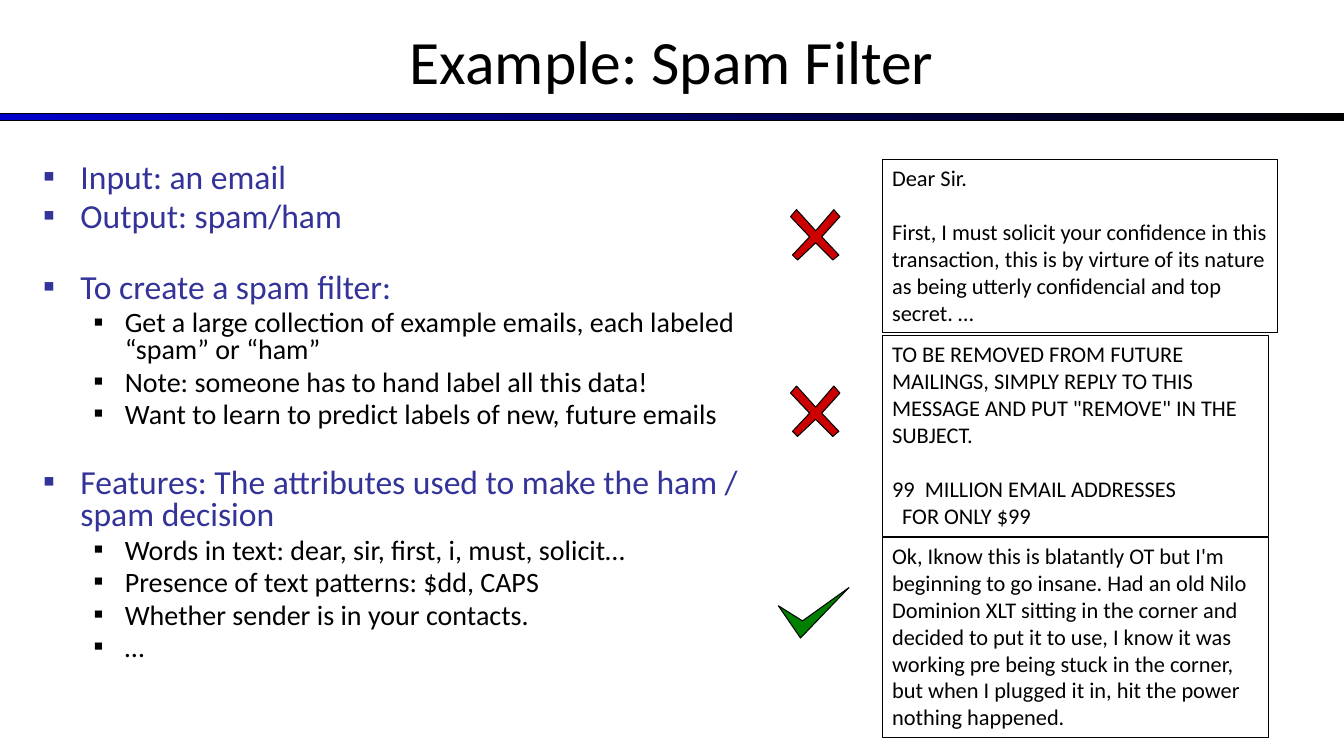
from lxml import etree
from pptx import Presentation
from pptx.dml.color import RGBColor
from pptx.enum.shapes import MSO_SHAPE
from pptx.enum.text import MSO_ANCHOR, PP_ALIGN
from pptx.oxml.ns import qn
from pptx.util import Inches, Pt

RECT = MSO_SHAPE.RECTANGLE
TOP, MIDDLE = MSO_ANCHOR.TOP, MSO_ANCHOR.MIDDLE
LEFT, CENTER = PP_ALIGN.LEFT, PP_ALIGN.CENTER

FONT = "Calibri"
COLORS = {"black": "000000", "blue": "0000CC", "indigo": "333399",
          "red": "CC0000", "green": "008000"}

# Content
TITLE = "Example: Spam Filter"
# (level, text, space before in points)
OUTLINE = [
    (0, "Input: an email", 0),
    (0, "Output: spam/ham", 4.5),
    (0, "To create a spam filter:", 27.5),
    (1, "Get a large collection of example emails, each labeled “spam” or “ham”", 4),
    (1, "Note: someone has to hand label all this data!", 4),
    (1, "Want to learn to predict labels of new, future emails", 4),
    (0, "Features: The attributes used to make the ham / spam decision", 27.5),
    (1, "Words in text: dear, sir, first, i, must, solicit…", 4),
    (1, "Presence of text patterns: $dd, CAPS", 4),
    (1, "Whether sender is in your contacts.", 4),
    (1, "…", 4),
]
# level: (size, color, margin, hanging indent)
LEVELS = {0: (24, "indigo", 0.37, 0.37), 1: (20, "black", 0.81, 0.31)}

# (top, width, height, [(text, space before in points, indent in inches)])
EMAILS = [
    (1.58, 3.92, 1.72, [
        ("Dear Sir.", 0, 0),
        ("First, I must solicit your confidence in this transaction, this is by "
         "virture of its nature as being utterly confidencial and top secret. …", 19.5, 0)]),
    (3.33, 3.83, 1.99, [
        ("TO BE REMOVED FROM FUTURE MAILINGS, SIMPLY REPLY TO THIS MESSAGE AND "
         "PUT \"REMOVE\" IN THE SUBJECT.", 0, 0),
        ("99  MILLION EMAIL ADDRESSES", 19.5, 0),
        ("FOR ONLY $99", 0, 0.1)]),
    (5.33, 3.83, 1.99, [
        ("Ok, Iknow this is blatantly OT but I'm beginning to go insane. Had an old "
         "Nilo Dominion XLT sitting in the corner and decided to put it to use, I know "
         "it was working pre being stuck in the corner, but when I plugged it in, hit "
         "the power nothing happened.", 0, 0)]),
]

# Mark outlines, as offsets from the top left of each mark
CROSS = [(0, 0.07), (0.19, 0.27), (0.02, 0.45), (0.07, 0.5), (0.25, 0.33), (0.42, 0.5),
         (0.48, 0.45), (0.31, 0.27), (0.49, 0.07), (0.43, 0), (0.25, 0.21), (0.06, 0)]
CHECK = [(0.22, 0.5), (0.7, 0), (0.24, 0.33), (0, 0.18)]
MARKS = [(7.84, 2.08, CROSS, "red"), (7.84, 3.83, CROSS, "red"),
         (7.72, 5.83, CHECK, "green")]


def rgb(name):
    return RGBColor.from_string(COLORS[name])


def outline(s):
    s.shadow.inherit = False
    s.line.color.rgb = rgb("black")
    s.line.width = Pt(0.75)


def set_frame(s, anchor):
    tf = s.text_frame
    tf.word_wrap = True
    tf.vertical_anchor = anchor
    return tf


def add_para(tf, i, text, size, color, before=0, align=LEFT):
    p = tf.add_paragraph() if i else tf.paragraphs[0]
    p.alignment = align
    p.space_before = Pt(before)
    r = p.add_run()
    r.text = text
    r.font.name, r.font.size = FONT, Pt(size)
    r.font.color.rgb = rgb(color)
    return p


def add_bullet(p, color, margin, hang):
    pPr = p._p.get_or_add_pPr()
    pPr.set("marL", str(Inches(margin)))
    pPr.set("indent", str(-Inches(hang)))
    clr = etree.SubElement(pPr, qn("a:buClr"))
    etree.SubElement(clr, qn("a:srgbClr"), val=COLORS[color])
    etree.SubElement(pPr, qn("a:buFont"), typeface=FONT)
    etree.SubElement(pPr, qn("a:buChar"), char="▪")


prs = Presentation()
prs.slide_width, prs.slide_height = Inches(13.33), Inches(7.5)
slide = prs.slides.add_slide(prs.slide_layouts[6])
shapes = slide.shapes

# Gradient rule under the title
s = shapes.add_shape(RECT, 0, Inches(1.13), prs.slide_width, Inches(0.07))
outline(s)
s.fill.gradient()
s.fill.gradient_angle = 0
for stop, (position, color) in zip(s.fill.gradient_stops, [(0, "blue"), (1, "black")]):
    stop.position = position
    stop.color.rgb = rgb(color)

# Title
s = shapes.add_textbox(0, Inches(-0.03), prs.slide_width, Inches(1.25))
add_para(set_frame(s, MIDDLE), 0, TITLE, 44, "black", align=CENTER)

# Outline
s = shapes.add_textbox(Inches(0.33), Inches(1.58), Inches(7.17), Inches(5.5))
tf = set_frame(s, TOP)
for i, (level, text, before) in enumerate(OUTLINE):
    size, color, margin, hang = LEVELS[level]
    p = add_para(tf, i, text, size, color, before)
    p.level = level
    p.line_spacing = 0.8
    add_bullet(p, color, margin, hang)

# Sample emails
for top, width, height, lines in EMAILS:
    s = shapes.add_shape(RECT, Inches(8.75), Inches(top), Inches(width), Inches(height))
    outline(s)
    s.fill.background()
    tf = set_frame(s, TOP)
    for i, (text, before, indent) in enumerate(lines):
        p = add_para(tf, i, text, 16, "black", before)
        p._p.get_or_add_pPr().set("marL", str(Inches(indent)))

# Spam and ham marks
for left, top, points, color in MARKS:
    corners = [(Inches(left + x), Inches(top + y)) for x, y in points]
    builder = shapes.build_freeform(*corners[0])
    builder.add_line_segments(corners[1:], close=True)
    s = builder.convert_to_shape()
    outline(s)
    s.fill.solid()
    s.fill.fore_color.rgb = rgb(color)

prs.save("out.pptx")
